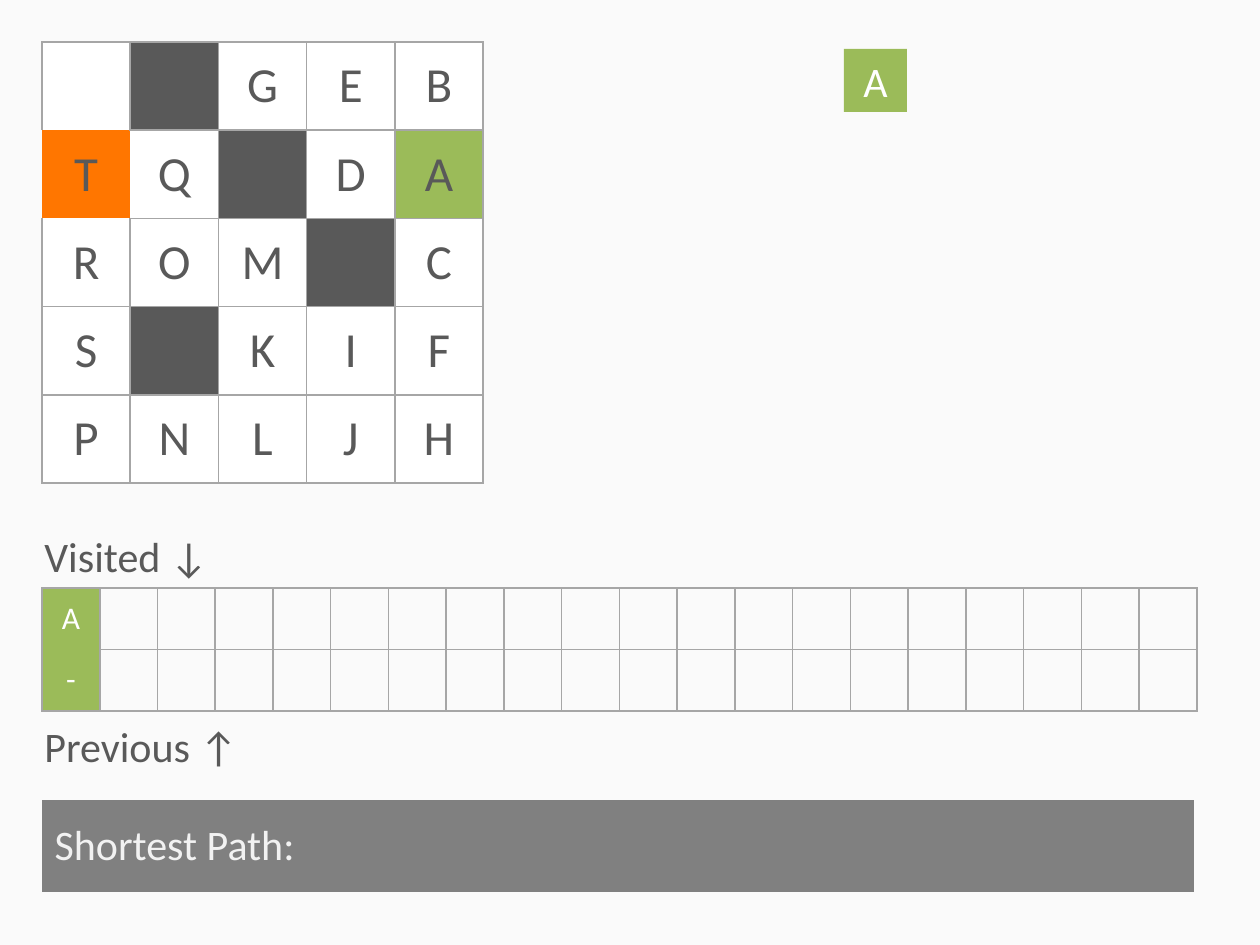
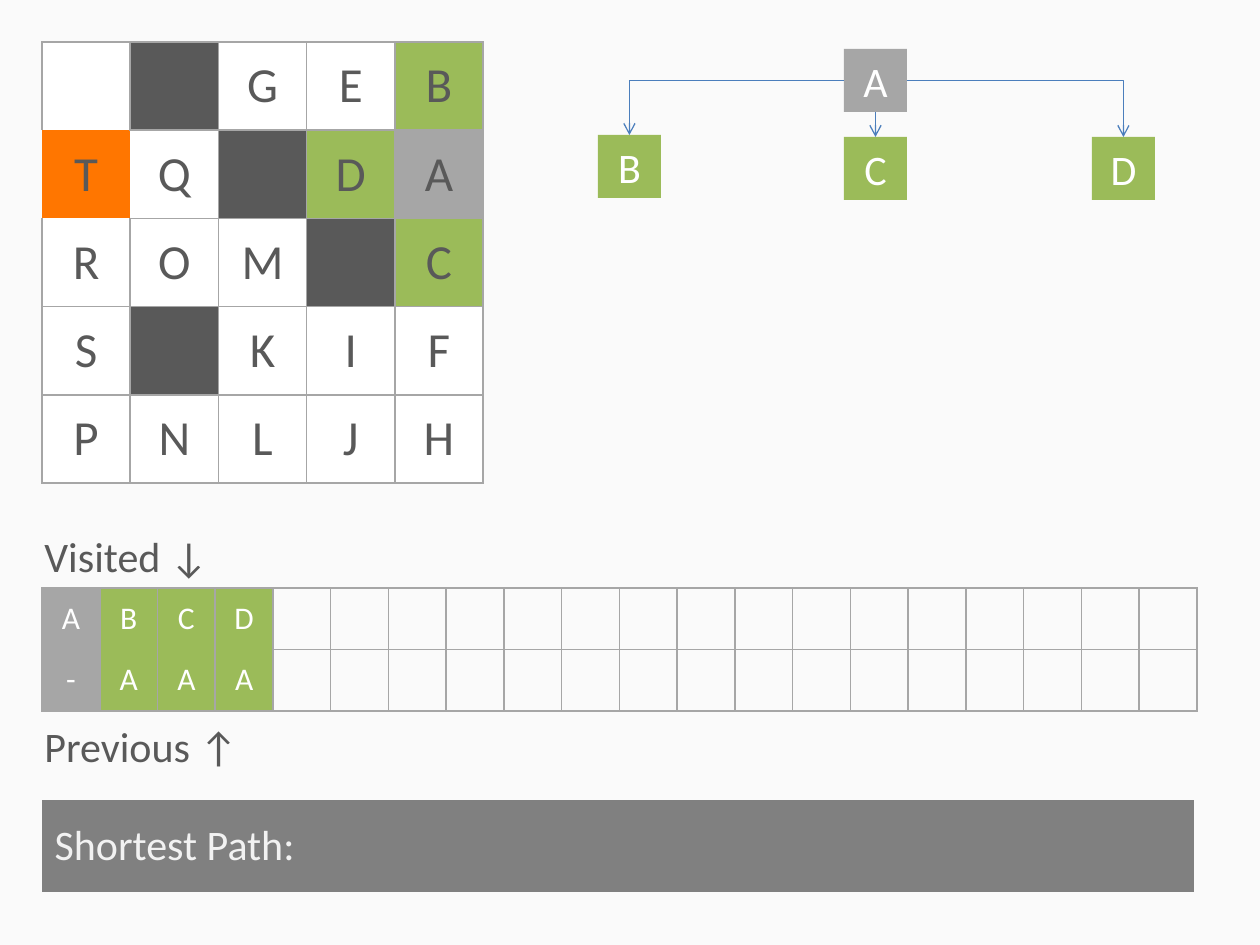
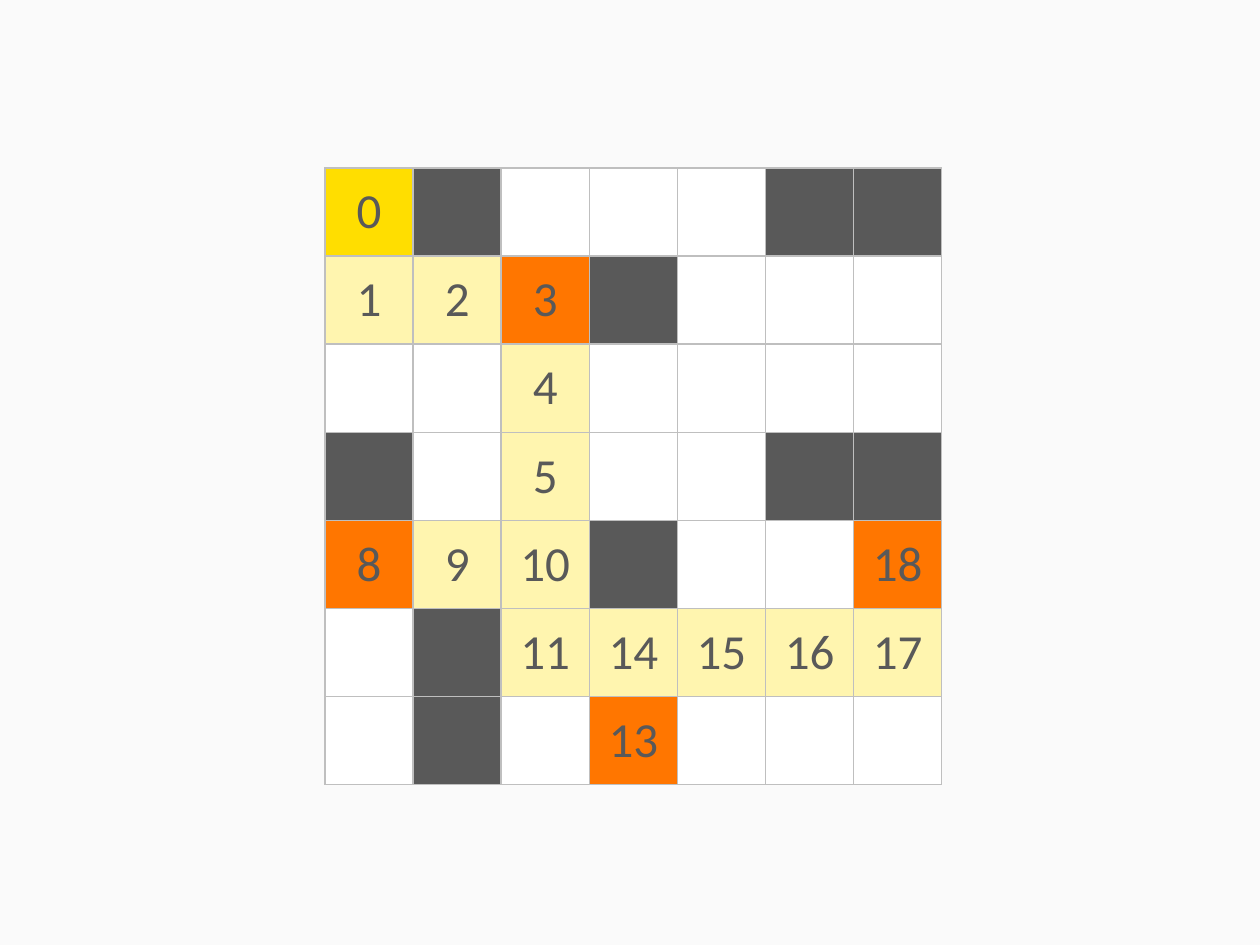
from lxml.etree import SubElement
from pptx import Presentation
from pptx.dml.color import RGBColor
from pptx.enum.shapes import MSO_CONNECTOR as Link, MSO_SHAPE as Shape
from pptx.enum.text import MSO_ANCHOR as Anchor, PP_ALIGN as Align
from pptx.oxml.ns import qn
from pptx.util import Pt

SCALE = 914400 / 126
FONT = "Calibri"
NO_STYLE = "{2D5ABB26-0587-4C30-8999-92F81FD0307C}"

BACKGROUND = RGBColor(0xFA, 0xFA, 0xFA)
WHITE = RGBColor(0xFF, 0xFF, 0xFF)
DARK = RGBColor(0x59, 0x59, 0x59)
GRAY = RGBColor(0xA6, 0xA6, 0xA6)
LIGHT_GRAY = RGBColor(0xBF, 0xBF, 0xBF)
BAND = RGBColor(0x80, 0x80, 0x80)
BAND_TEXT = RGBColor(0xF2, 0xF2, 0xF2)
GREEN = RGBColor(0x9B, 0xBB, 0x59)
ORANGE = RGBColor(0xFF, 0x76, 0x00)
YELLOW = RGBColor(0xFF, 0xDE, 0x00)
CREAM = RGBColor(0xFF, 0xF5, 0xAF)
BLUE = RGBColor(0x4B, 0x7E, 0xBC)

WALL, OPEN = "#", "."
MAZE = ["# G E B", "T Q # D A", "R O M # C", "S # K I F", "P N L J H"]
MAZE[0] = ". " + MAZE[0]
ROUTE = [
    "0 # . . . # #",
    "1 2 3 # . . .",
    ". . 4 . . . .",
    "# . 5 . . # #",
    "8 9 10 # . . 18",
    ". # 11 14 15 16 17",
    ". # . 13 . . .",
]
ROUTE_FILLS = {"0": YELLOW, "3": ORANGE, "8": ORANGE, "13": ORANGE, "18": ORANGE}
GOAL_GAPS = {(0, 0): "B", (1, 0): "LRTB", (1, 1): "L", (2, 0): "T"}

TRACK_COLUMNS = 20
LABELS = [("Visited ↓", 524), ("Previous ↑", 714)]
NODE_SIZE = 63
NODE_SPOTS = {"A": (844, 49), "B": (598, 135), "C": (844, 137), "D": (1092, 137)}
TOP, LEFT, BOTTOM, RIGHT = range(4)
LINKS = [("B", LEFT, "bentConnector2"), ("C", BOTTOM, "line"), ("D", RIGHT, "bentConnector2")]

STEPS = [
    {"visited": "A", "previous": "-", "fills": {"A": GREEN}, "gaps": {}},
    {
        "visited": "ABCD",
        "previous": "-AAA",
        "fills": {"A": GRAY, "B": GREEN, "C": GREEN, "D": GREEN},
        "gaps": {1: "R", 2: "L"},
    },
]


def emu(pixels):
    return round(pixels * SCALE)


def new_slide():
    slide = deck.slides.add_slide(deck.slide_layouts[6])
    slide.background.fill.solid()
    slide.background.fill.fore_color.rgb = BACKGROUND
    return slide


def write(frame, text, size, color, align=Align.LEFT):
    para = frame.paragraphs[0]
    para.text = text
    para.alignment = align
    para.font.name = FONT
    para.font.size = Pt(size)
    para.font.color.rgb = color


def add_borders(cell, color, gaps):
    properties = cell._tc.get_or_add_tcPr()
    for side in "LRTB":
        if side not in gaps:
            line = SubElement(properties, qn("a:ln" + side), w=str(Pt(1)))
            fill = SubElement(line, qn("a:solidFill"))
            SubElement(fill, qn("a:srgbClr"), val=str(color))


def add_table(slide, left, top, widths, heights):
    box = [emu(value) for value in (left, top, sum(widths), sum(heights))]
    table = slide.shapes.add_table(len(heights), len(widths), *box).table
    table.first_row = table.horz_banding = False
    table._tbl.tblPr.find(qn("a:tableStyleId")).text = NO_STYLE
    for column, width in zip(table.columns, widths):
        column.width = emu(width)
    for row, height in zip(table.rows, heights):
        row.height = emu(height)
    return table


def paint(cell, color):
    cell.vertical_anchor = Anchor.MIDDLE
    if color is None:
        cell.fill.background()
    else:
        cell.fill.solid()
        cell.fill.fore_color.rgb = color


def add_grid(slide, left, top, size, lines, fills, default, border, gaps):
    count = len(lines)
    table = add_table(slide, left, top, [size / count] * count, [size / count] * count)
    for row, line in enumerate(lines):
        for column, mark in enumerate(line.split()):
            cell = table.cell(row, column)
            add_borders(cell, border, gaps.get((row, column), ""))
            if mark in (WALL, OPEN):
                paint(cell, DARK if mark == WALL else WHITE)
            else:
                paint(cell, fills.get(mark, default))
                write(cell.text_frame, mark, 28, DARK, Align.CENTER)


def add_track(slide, step):
    table = add_table(slide, 42, 588, [1155 / TRACK_COLUMNS] * TRACK_COLUMNS, [61.5] * 2)
    visited = step["visited"]
    for row, marks in enumerate((visited, step["previous"])):
        for column in range(TRACK_COLUMNS):
            cell = table.cell(row, column)
            used = column < len(visited)
            inner = "BT"[row] if used else ""
            add_borders(cell, GRAY, inner + step["gaps"].get(column, ""))
            paint(cell, step["fills"][visited[column]] if used else None)
            if used:
                write(cell.text_frame, marks[column], 18, WHITE, Align.CENTER)


def add_labels(slide):
    for text, top in LABELS:
        frame = slide.shapes.add_textbox(emu(32), emu(top), emu(282), emu(63)).text_frame
        frame.word_wrap = True
        write(frame, text, 24, DARK)


def add_answer_band(slide):
    table = add_table(slide, 42, 800, [312, 840], [92])
    for cell in table.iter_cells():
        paint(cell, BAND)
    write(table.cell(0, 0).text_frame, "Shortest Path: ", 24, BAND_TEXT)


def add_node(slide, name, color):
    left, top = NODE_SPOTS[name]
    size = emu(NODE_SIZE)
    node = slide.shapes.add_shape(Shape.RECTANGLE, emu(left), emu(top), size, size)
    node.shadow.inherit = False
    node.fill.solid()
    node.fill.fore_color.rgb = color
    node.line.fill.background()
    node.text_frame.vertical_anchor = Anchor.MIDDLE
    write(node.text_frame, name, 24, WHITE, Align.CENTER)
    return node


def add_link(slide, parent, side, child, preset):
    kind = Link.STRAIGHT if preset == "line" else Link.ELBOW
    link = slide.shapes.add_connector(kind, 0, 0, 0, 0)
    link.begin_connect(parent, side)
    link.end_connect(child, TOP)
    link.line.color.rgb = BLUE
    link.line.width = Pt(0.75)
    properties = link._element.spPr
    properties.find(qn("a:prstGeom")).set("prst", preset)
    SubElement(properties.find(qn("a:ln")), qn("a:tailEnd"), type="arrow")
    SubElement(properties, qn("a:effectLst"))


def add_tree(slide, fills):
    nodes = {name: add_node(slide, name, color) for name, color in fills.items()}
    for name, side, preset in LINKS:
        if name in nodes:
            add_link(slide, nodes["A"], side, nodes[name], preset)


deck = Presentation()
deck.slide_width, deck.slide_height = emu(1260), emu(945)

for step in STEPS:
    slide = new_slide()
    fills = {"T": ORANGE, **step["fills"]}
    add_grid(slide, 42, 42, 441, MAZE, fills, WHITE, GRAY, GOAL_GAPS)
    add_track(slide, step)
    add_labels(slide)
    add_answer_band(slide)
    add_tree(slide, step["fills"])

add_grid(new_slide(), 325, 168, 617, ROUTE, ROUTE_FILLS, CREAM, LIGHT_GRAY, {})

deck.save("out.pptx")
